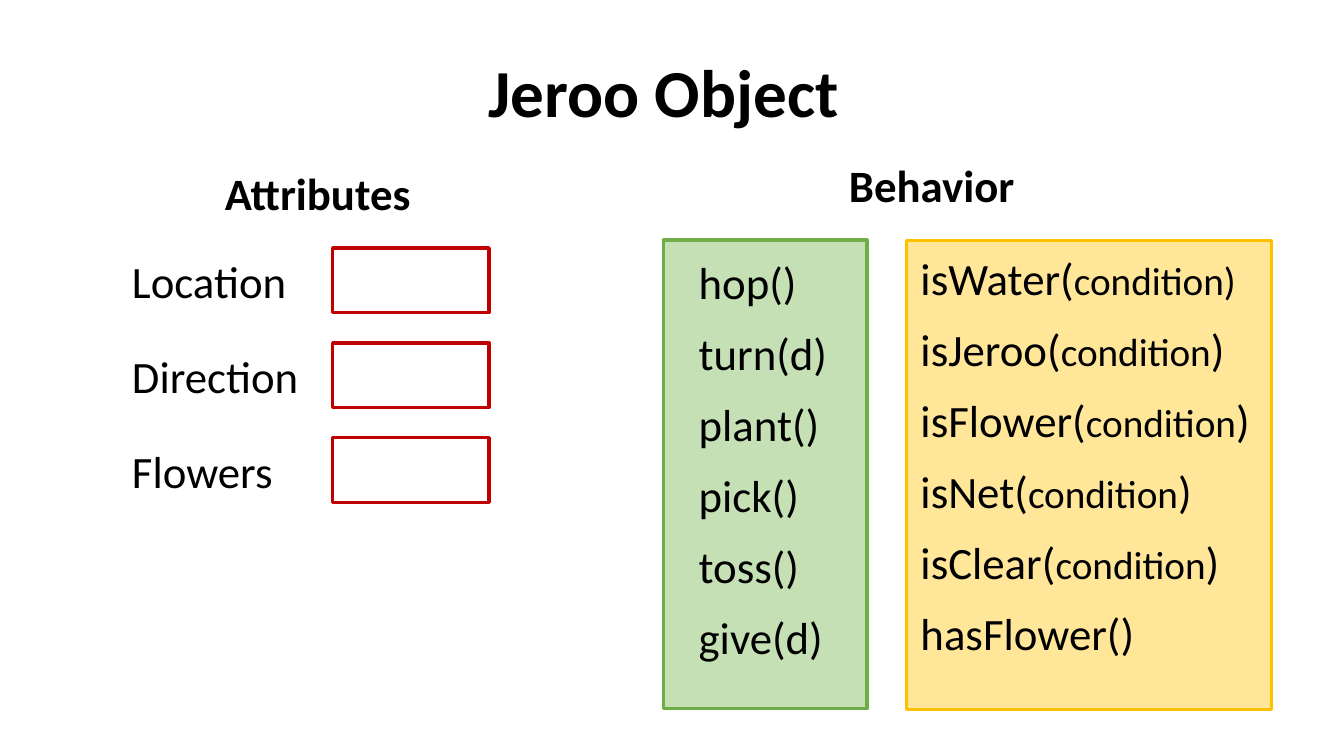
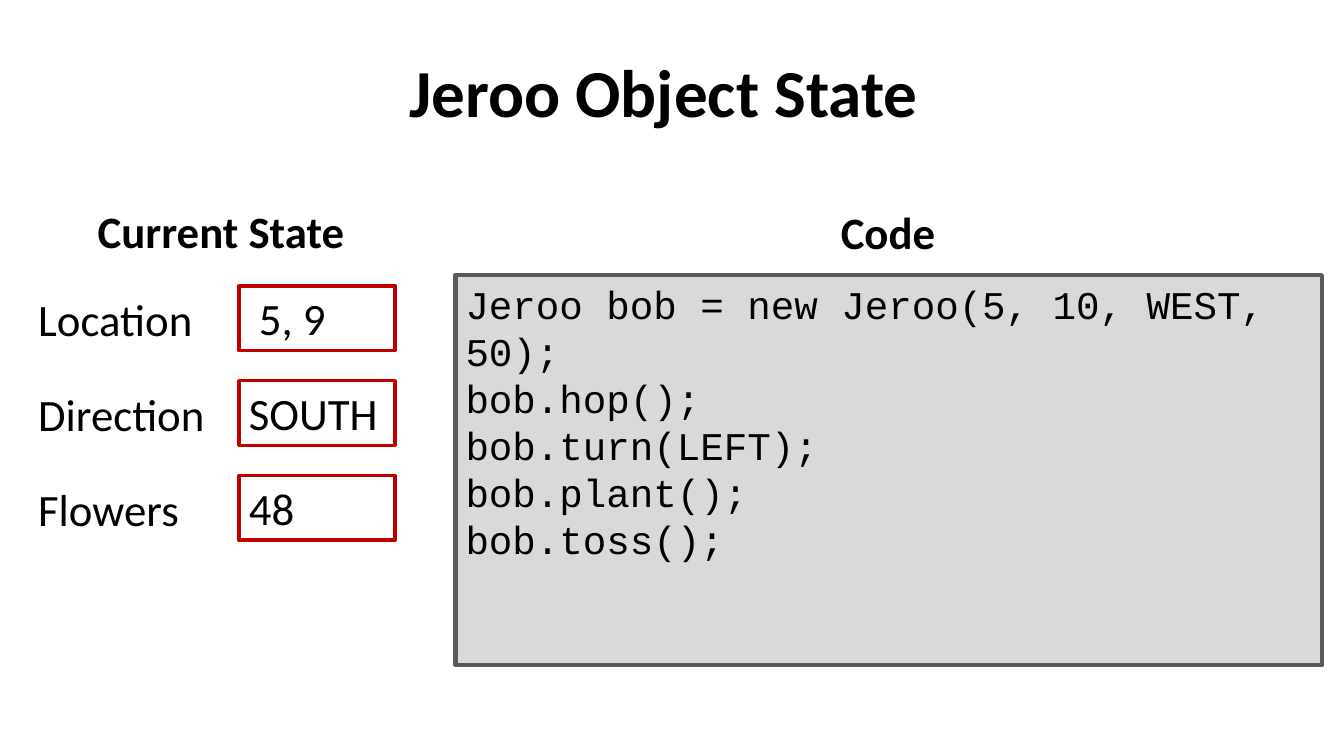
from pptx import Presentation
from pptx import util as u
from pptx.dml.color import RGBColor
from pptx.enum import shapes, text

BLACK = RGBColor(0x00, 0x00, 0x00)
WHITE = RGBColor(0xFF, 0xFF, 0xFF)
RED = RGBColor(0xC0, 0x00, 0x00)
GREEN = RGBColor(0x70, 0xAD, 0x47)
PALE_GREEN = RGBColor(0xC5, 0xE0, 0xB4)
GOLD = RGBColor(0xFF, 0xC0, 0x00)
PALE_GOLD = RGBColor(0xFF, 0xE6, 0x99)
GREY = RGBColor(0x59, 0x59, 0x59)
PALE_GREY = RGBColor(0xD9, 0xD9, 0xD9)

BODY = {"name": "Calibri", "size": u.Pt(32), "bold": False}
SMALL = {**BODY, "size": u.Pt(28)}
HEADING = {**BODY, "bold": True}
TITLE = {**HEADING, "size": u.Pt(48)}
CODE = {**SMALL, "name": "Courier New"}

prs = Presentation()
prs.slide_width, prs.slide_height = u.Inches(13.33), u.Inches(7.5)
COL, ROW = prs.slide_width / 100, prs.slide_height / 100
LINE_H = 8.55
FIELD_STEP = 12.55
LABEL_W, FIELD_W = 15.68, 11.63
METHOD_STEP = 9.4


def write(sp, paragraphs, align=text.PP_ALIGN.LEFT, anchor=text.MSO_ANCHOR.TOP):
    tf = sp.text_frame
    tf.word_wrap = True
    tf.vertical_anchor = anchor
    for i, runs in enumerate(paragraphs):
        p = tf.paragraphs[0] if i == 0 else tf.add_paragraph()
        p.alignment = align
        for words, fmt in runs:
            r = p.add_run()
            r.text = words
            r.font.color.rgb = BLACK
            for key, value in fmt.items():
                setattr(r.font, key, value)
    return tf


def add(s, x, y, w, h, fill=None, line=None, weight=2.25):
    at = [int(n) for n in (x * COL, y * ROW, w * COL, h * ROW)]
    if fill is None:
        return s.shapes.add_textbox(*at)
    sp = s.shapes.add_shape(shapes.MSO_SHAPE.RECTANGLE, *at)
    sp.shadow.inherit = False
    sp.fill.solid()
    sp.fill.fore_color.rgb = fill
    sp.line.color.rgb = line
    sp.line.width = u.Pt(weight)
    return sp


slides = [
    {
        "title": "Jeroo Object",
        "headings": [("Attributes", 15.9, 21.3, 15.5), ("Behavior", 62.35, 20.25, 13.95)],
        "fields": (9.08, 32.8),
        "values": ["", "", ""],
        "panels": [(49.36, 31.75, 15.15, 62, PALE_GREEN, GREEN),
                   (67.44, 31.85, 27.15, 62, PALE_GOLD, GOLD)],
        "methods": [
            (51.25, 33.05, 17.85,
             [[(name, BODY)] for name in
              ("hop()", "turn(d)", "plant()", "pick()", "toss()", "give(d)")]),
            (67.75, 32.45, 28.05,
             [[("isWater(", BODY), ("condition)", SMALL)]]
             + [[(name, BODY), ("condition", SMALL), (")", BODY)]
                for name in ("isJeroo(", "isFlower(", "isNet(", "isClear(")]
             + [[("hasFlower()", BODY)]]),
        ],
        "code": [],
    },
    {
        "title": "Jeroo Object State",
        "headings": [("Current State", 6.45, 26.25, 20), ("Code", 61.75, 26.4, 8.65)],
        "fields": (2.1, 37.8),
        "values": [" 5, 9", "SOUTH", "48"],
        "panels": [(33.9, 36.4, 64.45, 51.6, PALE_GREY, GREY, 3)],
        "methods": [],
        "code": ["Jeroo bob = new Jeroo(5, 10, WEST, 50);", "bob.hop();",
                 "bob.turn(LEFT);", "bob.plant();", "bob.toss();"],
    },
]

for page in slides:
    s = prs.slides.add_slide(prs.slide_layouts[6])
    tf = write(add(s, 6.25, 3.05, 86.25, 19.35), [[(page["title"], TITLE)]],
               text.PP_ALIGN.CENTER, text.MSO_ANCHOR.MIDDLE)
    tf.paragraphs[0].line_spacing = 0.9

    for words, x, y, w in page["headings"]:
        tf = write(add(s, x, y, w, LINE_H), [[(words, HEADING)]], text.PP_ALIGN.CENTER)
        tf.word_wrap = False

    left, top = page["fields"]
    for i, (label, value) in enumerate(zip(("Location", "Direction", "Flowers"), page["values"])):
        y = top + i * FIELD_STEP
        write(add(s, left, y + 0.15, LABEL_W, LINE_H), [[(label, BODY)]])
        field = add(s, left + LABEL_W, y, FIELD_W, LINE_H, WHITE, RED, 2.5)
        if value:
            write(field, [[(value, BODY)]])

    for panel in page["panels"]:
        sp = add(s, *panel)
        if page["code"]:
            write(sp, [[(line, CODE)] for line in page["code"]])

    for x, y, w, methods in page["methods"]:
        for i, runs in enumerate(methods):
            write(add(s, x, y + i * METHOD_STEP, w, LINE_H), [runs])

prs.save("out.pptx")
